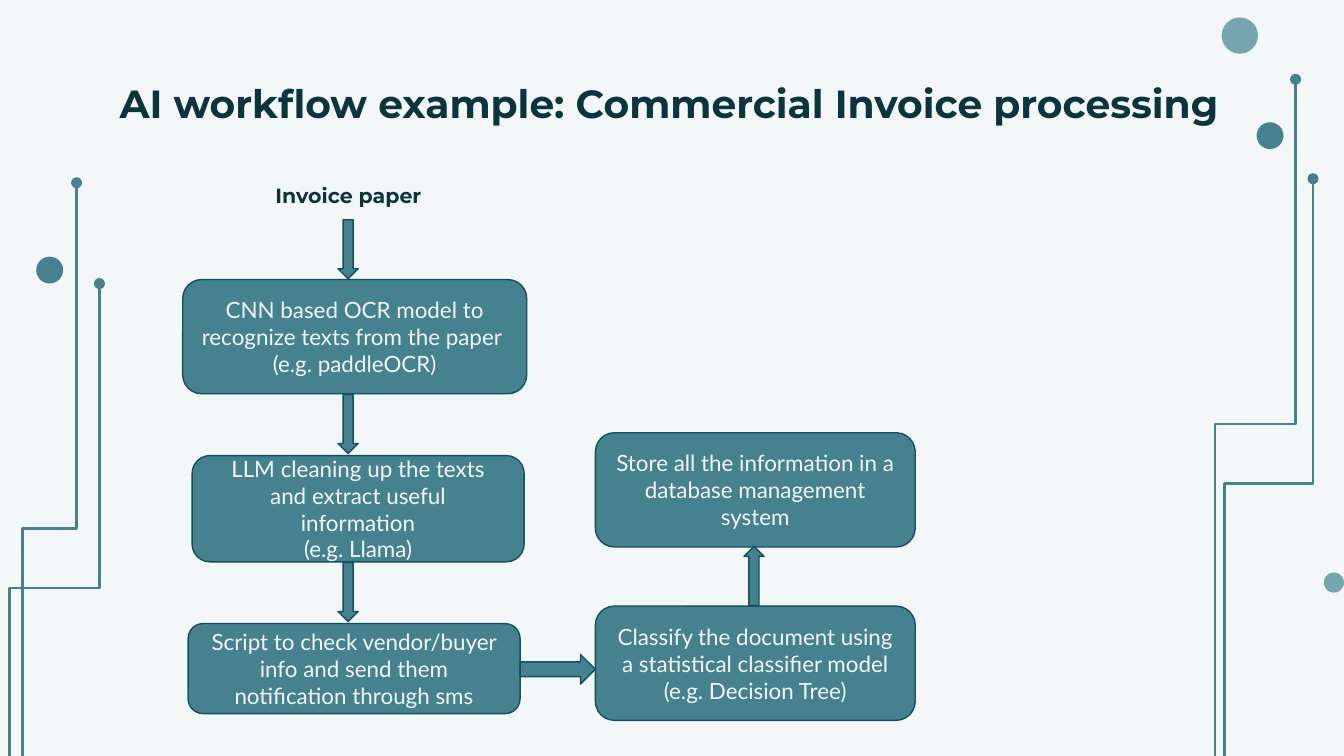
from lxml import etree
from pptx import Presentation
from pptx.dml.color import RGBColor
from pptx.enum.shapes import MSO_CONNECTOR, MSO_SHAPE
from pptx.enum.text import MSO_ANCHOR, PP_ALIGN
from pptx.oxml.ns import qn
from pptx.util import Inches, Pt

ELBOW = MSO_CONNECTOR.ELBOW
ROUNDED, ARROW, OVAL = MSO_SHAPE.ROUNDED_RECTANGLE, MSO_SHAPE.RIGHT_ARROW, MSO_SHAPE.OVAL
TOP, MIDDLE = MSO_ANCHOR.TOP, MSO_ANCHOR.MIDDLE
LEFT, CENTER = PP_ALIGN.LEFT, PP_ALIGN.CENTER
TEAL, PALE_TEAL, EDGE, INK, PAPER = "45818E", "76A5AF", "134F5C", "0C343D", "F3F7F8"
COLUMNS, ROWS = 100, 56.25
DOWN, RIGHT, UP = 90, 0, 270

# Boxes are (left, top, width, height) in grid cells.
TITLE = (7.9, 4.9, 84.3, 6.3)
FLOW = (13.6, 12.7, 54.5, 40.9)
STEPS = [
    ((0, 8.1, 25.6, 8.5),
     ["CNN based OCR model to recognize texts from the paper ", "(e.g. paddleOCR)"]),
    ((0.7, 21.2, 24.7, 7.9),
     ["LLM cleaning up the texts and extract useful information", "(e.g. Llama)"]),
    ((0.4, 33.7, 24.7, 6.7),
     ["Script to check vendor/buyer info and send them notification through sms"]),
    ((30.7, 32.4, 23.8, 8.5),
     ["Classify the document using a statistical classifier model (e.g. Decision Tree)"]),
    ((30.7, 19.5, 23.8, 8.5),
     ["Store all the information in a database management system"]),
]
# Arrow centre, length, thickness and direction
ARROWS = [((12.3, y), 4.4, 1.5, DOWN) for y in (5.85, 18.85, 31.35)] + [
    ((27.9, 37.1), 5.6, 2.2, RIGHT), ((42.5, 30.15), 4.4, 1.5, UP)]
CIRCUITS = [
    ((90.4, 1.3, 9.6, 54.9),
     [(0, 4.6, 6, 51.3), (0.7, 12, 6.6, 45.3)],
     [(0.5, 0, 2.7, PALE_TEAL), (3.1, 7.8, 2, TEAL), (8.1, 41.3, 1.5, PALE_TEAL)]),
    ((0.7, 13.6, 6.7, 42.6),
     [(1, 0, 4, 51.4), (0, 7.5, 6.7, 45.3)],
     [(2, 5.5, 2, TEAL)]),
]


def color(value):
    return RGBColor.from_string(value)


def cells(*counts):
    return [Inches(count * 10 / COLUMNS) for count in counts]


def add_shape(page, kind, box, fill, edge=None):
    shape = page.shapes.add_shape(kind, *cells(*box))
    shape.shadow.inherit = False
    shape.fill.solid()
    shape.fill.fore_color.rgb = color(fill)
    if edge:
        shape.line.color.rgb = color(edge)
        shape.line.width = Pt(0.75)
    else:
        shape.line.fill.background()
    return shape


def write(shape, lines, size, font, ink, align, anchor, bold=False):
    frame = shape.text_frame
    frame.word_wrap = True
    frame.vertical_anchor = anchor
    frame.margin_left = frame.margin_right = Inches(0.1)
    frame.margin_top = frame.margin_bottom = Inches(0.1)
    for index, line in enumerate(lines):
        para = frame.add_paragraph() if index else frame.paragraphs[0]
        para.alignment = align
        para.space_before = Pt(0)
        span = para.add_run()
        span.text = line
        span.font.size = Pt(size)
        span.font.name = font
        span.font.bold = bold
        span.font.color.rgb = color(ink)


def add_trace(page, left, top, width, height):
    """Elbow line rising from bottom left to a round end at top right."""
    x, y = left + (width - height) / 2, top + (height - width) / 2
    trace = page.shapes.add_connector(ELBOW, *cells(x, y, x + height, y + width))
    trace.line.color.rgb = color(TEAL)
    trace.line.width = Pt(1.5)
    properties = trace._element.spPr
    properties.find(qn("a:xfrm")).set("rot", str(270 * 60000))
    etree.SubElement(properties.find(qn("a:ln")), qn("a:tailEnd"), type="oval")
    etree.SubElement(properties, qn("a:effectLst"))


def add_circuit(page, area, traces, dots):
    left, top = area[:2]
    for x, y, width, height in traces:
        add_trace(page, left + x, top + y, width, height)
    for x, y, size, fill in dots:
        add_shape(page, OVAL, (left + x, top + y, size, size), fill)


def add_title(page, box):
    title = page.shapes.title
    title.left, title.top, title.width, title.height = cells(*box)
    write(title, ["AI workflow example: Commercial Invoice processing"],
          21, "Montserrat", INK, LEFT, TOP, bold=True)


def add_flow(page, area):
    left, top = area[:2]
    label = page.shapes.add_textbox(*cells(left + 5.9, top, 12.9, 4.4))
    write(label, ["Invoice paper"], 11, "Montserrat", INK, LEFT, TOP, bold=True)
    label.text_frame.margin_right = 0
    for (x, y, width, height), lines in STEPS:
        step = add_shape(page, ROUNDED, (left + x, top + y, width, height), TEAL, EDGE)
        write(step, lines, 12, "Lato", PAPER, CENTER, MIDDLE)
    for (x, y), length, thickness, direction in ARROWS:
        box = (left + x - length / 2, top + y - thickness / 2, length, thickness)
        add_shape(page, ARROW, box, TEAL, EDGE).rotation = direction


def main():
    deck = Presentation()
    deck.slide_width, deck.slide_height = cells(COLUMNS, ROWS)
    page = deck.slides.add_slide(deck.slide_layouts[5])
    page.background.fill.solid()
    page.background.fill.fore_color.rgb = color(PAPER)
    for area, traces, dots in CIRCUITS:
        add_circuit(page, area, traces, dots)
    add_title(page, TITLE)
    add_flow(page, FLOW)
    deck.save("out.pptx")


if __name__ == "__main__":
    main()
